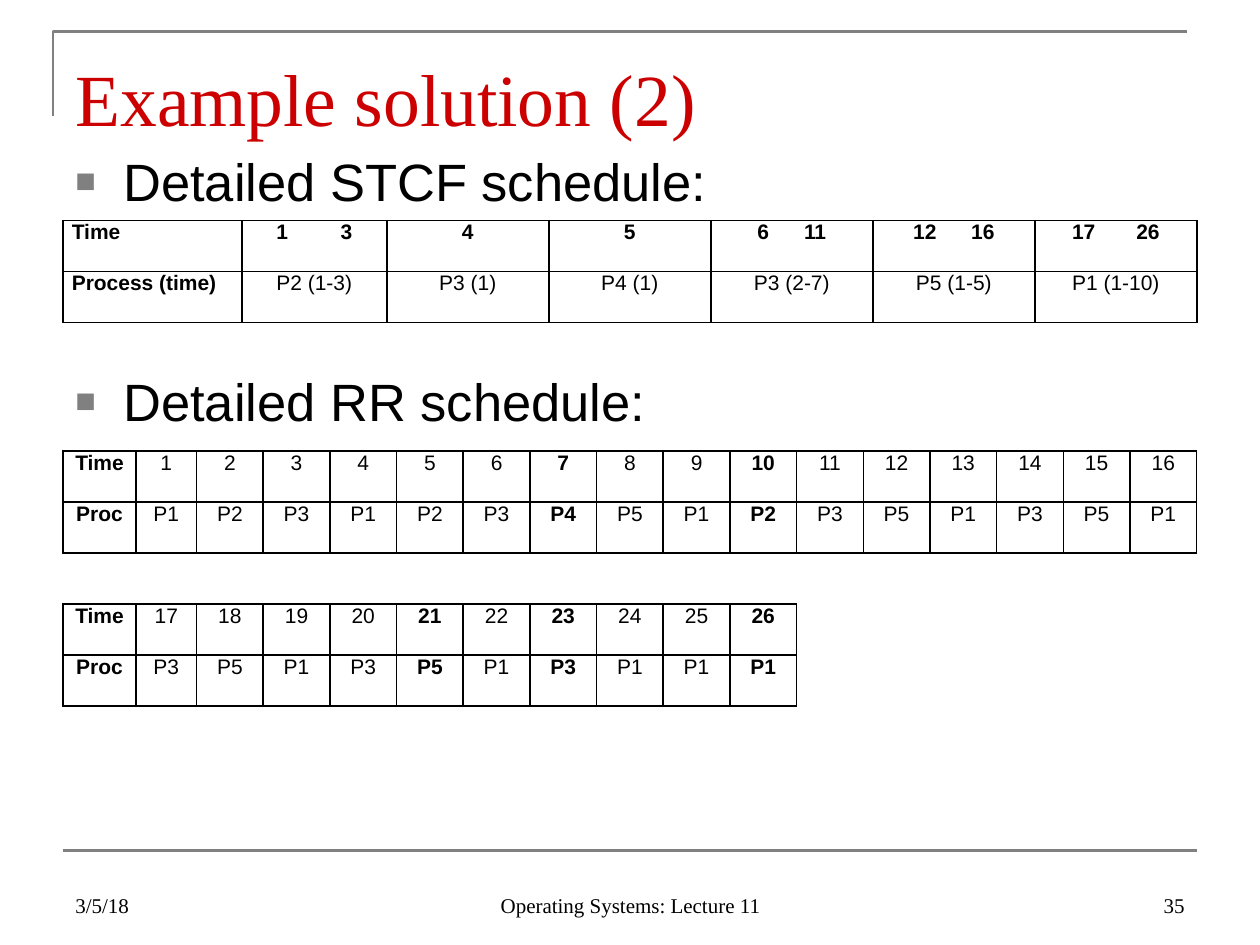
import pptx
import pptx.dml.color
import pptx.enum.shapes
import pptx.enum.text
import pptx.oxml
import pptx.oxml.ns
import pptx.util

INK = {"text": "000000", "title": "CC0000", "rule": "808080", "paper": "FFFFFF"}
SANS, SERIF = "Arial", "Times New Roman"
LEFT, WIDE = 0.5, 9
ROW = 0.405
SPLIT = 16
KEY = {7, 10, 21, 23, 26}
ALIGN = pptx.enum.text.PP_ALIGN
ANCHOR = pptx.enum.text.MSO_ANCHOR
inch = pptx.util.Inches

STCF = [
    ["Time", "1\t3", "4", "5", "6\t11", "12\t16", "17\t26"],
    ["Process (time)", "P2 (1-3)", "P3 (1)", "P4 (1)", "P3 (2-7)", "P5 (1-5)", "P1 (1-10)"],
]
TABS = {1: 0.51, 4: 0.37, 5: 0.46, 6: 0.51}
RUNS = "P1 P2 P3 P1 P2 P3 P4 P5 P1 P2 P3 P5 P1 P3 P5 P1 P3 P5 P1 P3 P5 P1 P3 P1 P1 P1".split()


def color(name):
    return pptx.dml.color.RGBColor.from_string(INK[name])


def add_xml(parent, xml):
    space = pptx.oxml.ns.nsdecls("a")
    tag, rest = xml[1:].split(" ", 1)
    parent.append(pptx.oxml.parse_xml(f"<{tag} {space} {rest}"))


def style(para, size, face, ink="text", bold=False, align=ALIGN.LEFT):
    para.alignment = align
    for run in para.runs:
        font = run.font
        font.size, font.name, font.bold = pptx.util.Pt(size), face, bold
        font.color.rgb = color(ink)


def place(shape, left, top, width, height):
    shape.left, shape.top = inch(left), inch(top)
    shape.width, shape.height = inch(width), inch(height)


def add_title(slide, text):
    title = slide.shapes.title
    place(title, LEFT, 0.3, WIDE, 0.78)
    frame = title.text_frame
    frame.text = text
    frame.auto_size = pptx.enum.text.MSO_AUTO_SIZE.NONE
    frame.vertical_anchor = ANCHOR.TOP
    frame.margin_top, frame.margin_bottom = inch(0.12), 0
    style(frame.paragraphs[0], 42, SERIF, "title")


def add_text(slide, text, left, top, width, height):
    frame = slide.shapes.add_textbox(*map(inch, (left, top, width, height))).text_frame
    frame.word_wrap = True
    frame.text = text
    return frame


def add_point(slide, text, top):
    """Add a heading with a square bullet."""
    frame = add_text(slide, text, LEFT, top, WIDE, 0.69)
    frame.margin_top = inch(0.1)
    para = frame.paragraphs[0]
    props = para._p.get_or_add_pPr()
    props.set("marL", str(inch(0.38)))
    props.set("indent", str(-inch(0.38)))
    add_xml(props, f'<a:buClr ><a:srgbClr val="{INK["rule"]}"/></a:buClr>')
    add_xml(props, '<a:buSzPct val="65000"/>')
    add_xml(props, '<a:buFont typeface="Arial"/>')
    add_xml(props, '<a:buChar char="■"/>')
    style(para, 30, SANS)


def add_foot(slide, text, left, width, align):
    frame = add_text(slide, text, left, 6.83, width, 0.5)
    frame.vertical_anchor = ANCHOR.BOTTOM
    style(frame.paragraphs[0], 12, SERIF, align=align)


def add_rules(slide):
    build = slide.shapes.build_freeform(inch(0.42), inch(0.92))
    build.add_line_segments([(inch(0.42), inch(0.25)), (inch(9.42), inch(0.25))], close=False)
    corner = build.convert_to_shape()
    corner.shadow.inherit = False
    corner.fill.background()
    base = slide.shapes.add_connector(
        pptx.enum.shapes.MSO_CONNECTOR.STRAIGHT,
        inch(LEFT), inch(6.75), inch(LEFT + WIDE), inch(6.75))
    add_xml(base._element.spPr, "<a:effectLst />")
    for shape in (corner, base):
        shape.line.color.rgb = color("rule")
        shape.line.width = pptx.util.Pt(1.5)


def add_edges(cell, rows, r, c):
    """Draw each side that touches a cell with text."""
    def full(y, x):
        return 0 <= y < len(rows) and 0 <= x < len(rows[y]) and bool(rows[y][x])

    props = cell._tc.get_or_add_tcPr()
    for side, y, x in (("L", r, c - 1), ("R", r, c + 1), ("T", r - 1, c), ("B", r + 1, c)):
        paint = "<a:noFill/>"
        if full(r, c) or full(y, x):
            paint = f'<a:solidFill><a:srgbClr val="{INK["text"]}"/></a:solidFill>'
        add_xml(props, f'<a:ln{side} w="12700">{paint}</a:ln{side}>')


def add_grid(slide, rows, top, first, second, bold, lead=ALIGN.CENTER, tabs=None):
    """Add a table whose columns after the second share the width left."""
    count = len(rows[0])
    rest = (WIDE - first - second) / (count - 2)
    table = slide.shapes.add_table(
        len(rows), count, *map(inch, (LEFT, top, WIDE, ROW * len(rows)))).table
    table.first_row = table.horz_banding = False
    for col, width in zip(table.columns, [first, second] + [rest] * (count - 2)):
        col.width = inch(width)
    for r, row in enumerate(rows):
        table.rows[r].height = inch(ROW)
        for c, text in enumerate(row):
            cell = table.cell(r, c)
            add_edges(cell, rows, r, c)
            cell.fill.solid()
            cell.fill.fore_color.rgb = color("paper")
            cell.margin_left = cell.margin_right = inch(0.07)
            cell.margin_top = cell.margin_bottom = 0
            para = cell.text_frame.paragraphs[0]
            para.text = text
            if "\t" in text:
                add_xml(para._p.get_or_add_pPr(),
                        f'<a:tabLst ><a:tab pos="{inch(tabs[c])}" algn="l"/></a:tabLst>')
            style(para, 12, SANS, bold=bold(r, c), align=ALIGN.CENTER if c else lead)


def robin():
    """Return the time and process rows, with an empty row between the halves."""
    times = [str(n + 1) for n in range(len(RUNS))]
    pad = [""] * (2 * SPLIT - len(RUNS))
    return [
        ["Time"] + times[:SPLIT],
        ["Proc"] + RUNS[:SPLIT],
        [""] * (SPLIT + 1),
        ["Time"] + times[SPLIT:] + pad,
        ["Proc"] + RUNS[SPLIT:] + pad,
    ]


def main():
    deck = pptx.Presentation()
    deck.slide_width, deck.slide_height = inch(10), inch(7.5)
    slide = deck.slides.add_slide(deck.slide_layouts[5])
    add_rules(slide)
    add_title(slide, "Example solution (2)")
    add_grid(slide, STCF, 1.75, 1.42, 1.15, lambda r, c: r == 0 or c == 0, ALIGN.LEFT, TABS)
    add_point(slide, "Detailed STCF schedule:", 1.08)
    add_foot(slide, "3/5/18", LEFT, 2.33, ALIGN.LEFT)
    add_foot(slide, "Operating Systems: Lecture 11", 3.42, 3.17, ALIGN.CENTER)
    add_foot(slide, "35", 7.17, 2.33, ALIGN.RIGHT)
    add_point(slide, "Detailed RR schedule:", 2.83)
    add_grid(slide, robin(), 3.58, 0.58, 0.48,
             lambda r, c: c == 0 or SPLIT * (r // 3) + c in KEY)
    deck.save("out.pptx")


if __name__ == "__main__":
    main()
